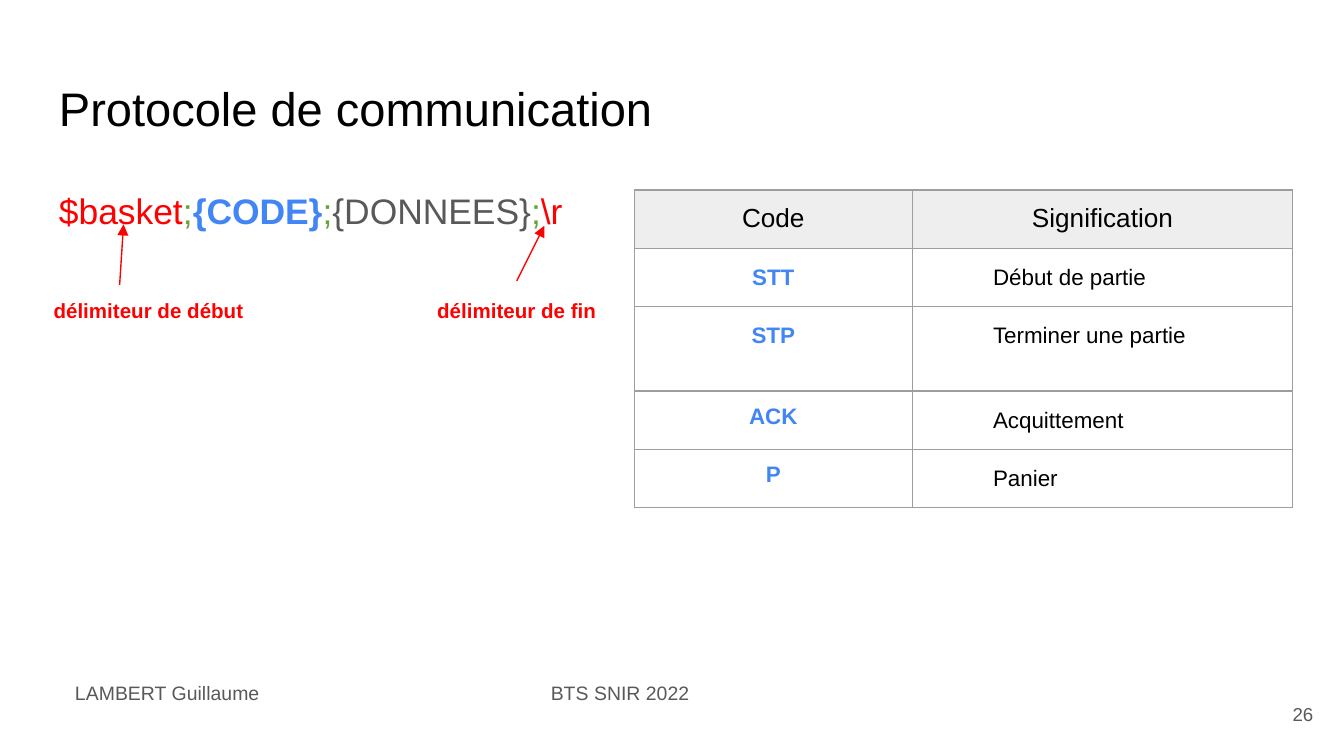
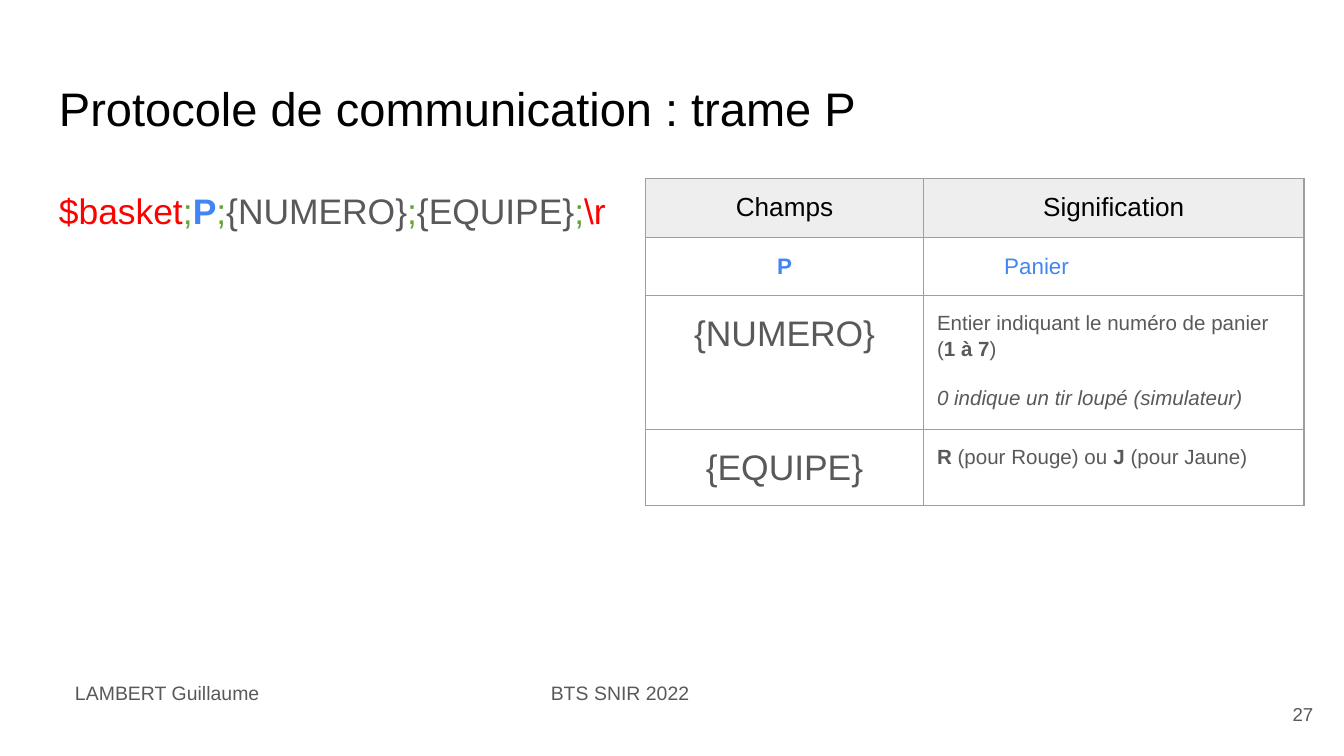
from dataclasses import dataclass

from lxml.etree import SubElement
from pptx import Presentation
from pptx.dml.color import RGBColor
from pptx.enum.shapes import MSO_CONNECTOR as Connector
from pptx.enum.text import MSO_ANCHOR as Anchor, PP_ALIGN as Align
from pptx.oxml.ns import qn
from pptx.util import Pt


@dataclass(frozen=True)
class Theme:
    font: str = "Arial"
    black: str = "000000"
    grey: str = "595959"
    red: str = "FF0000"
    green: str = "66A334"
    blue: str = "4285F4"
    border: str = "9E9E9E"
    header: str = "EEEEEE"
    title: float = 25.2
    frame: float = 19
    heading: float = 14
    cell: float = 12
    small: float = 11
    footer: float = 10.4
    number: float = 10
    inset: float = 7.2
    rule: float = 0.75


THEME = Theme()

STYLES = {
    "title": (THEME.title, THEME.black, ""),
    "footer": (THEME.footer, THEME.grey, ""),
    "number": (THEME.number, THEME.grey, ""),
    "delimiter": (THEME.frame, THEME.red, ""),
    "separator": (THEME.frame, THEME.green, ""),
    "code": (THEME.frame, THEME.blue, "b"),
    "data": (THEME.frame, THEME.grey, ""),
    "label": (THEME.small, THEME.red, "b"),
    "heading": (THEME.heading, THEME.black, ""),
    "key": (THEME.cell, THEME.blue, "b"),
    "meaning": (THEME.cell, THEME.black, ""),
    "blue meaning": (THEME.cell, THEME.blue, ""),
    "detail": (THEME.small, THEME.grey, ""),
    "strong": (THEME.small, THEME.grey, "b"),
    "note": (THEME.small, THEME.grey, "i"),
}

PLAIN = {}
CENTERED = {"align": Align.CENTER}
RIGHT = {"align": Align.RIGHT}
LOOSE = {"line": 1.15}
LOOSE_CENTERED = {**LOOSE, **CENTERED}
FIELD = {**LOOSE_CENTERED, "after": 12}
INDENTED = {**LOOSE, "indent": 36}
NOTE = {**LOOSE, "before": 12, "after": 12}
FOOTER = {"line": 0.8, "after": 12}


def line(text, style, layout=PLAIN):
    return [([(text, style)], layout)]


def heading(text):
    return line(text, "heading", CENTERED)


def meaning(text, style="meaning"):
    return line(text, style, INDENTED)


SEPARATOR = (";", "separator")
START = ("$basket", "delimiter")
END = ("\\r", "delimiter")

SLIDES = [
    {
        "title": "Protocole de communication",
        "number": "26",
        "frame": [START, ("{CODE}", "code"), ("{DONNEES}", "data"), END],
        "frame_height": 111.6,
        "labels": [
            ("délimiteur de début", (21.6, 150.5, 149.8, 28), LOOSE, (64.1, 152.6), (66.2, 120.2)),
            ("délimiteur de fin", (216, 150.5, 121.7, 28), LOOSE_CENTERED, None, (291.6, 121)),
        ],
        "table_at": (339.8, 101.8),
        "row_heights": [31.1, 31.1, 45.4, 31.1, 31.1],
        "rows": [
            (heading("Code"), heading("Signification")),
            (line("STT", "key", LOOSE_CENTERED), meaning("Début de partie")),
            (line("STP", "key", LOOSE_CENTERED), meaning("Terminer une partie")),
            (line("ACK", "key", CENTERED), meaning("Acquittement")),
            (line("P", "key", CENTERED), meaning("Panier")),
        ],
    },
    {
        "title": "Protocole de communication : trame P",
        "number": "27",
        "frame": [START, ("P", "code"), ("{NUMERO}", "data"), ("{EQUIPE}", "data"), END],
        "frame_height": 269.3,
        "labels": [],
        "table_at": (345.8, 95.8),
        "row_heights": [31.1, 31.1, 45.4, 31.1],
        "rows": [
            (heading("Champs"), heading("Signification")),
            (line("P", "key", LOOSE_CENTERED), meaning("Panier", "blue meaning")),
            (
                line("{NUMERO}", "data", FIELD),
                [
                    (
                        [
                            ("Entier indiquant le numéro de panier (", "detail"),
                            ("1 à 7", "strong"),
                            (")", "detail"),
                        ],
                        LOOSE,
                    ),
                    ([("0 indique un tir loupé (simulateur)", "note")], NOTE),
                ],
            ),
            (
                line("{EQUIPE}", "data", FIELD),
                [
                    (
                        [
                            ("R", "strong"),
                            (" (pour Rouge) ou ", "detail"),
                            ("J", "strong"),
                            (" (pour Jaune)", "detail"),
                        ],
                        LOOSE,
                    )
                ],
            ),
        ],
    },
]

FOOTERS = [("LAMBERT Guillaume", 33.1), ("BTS SNIR 2022", 288)]
COLUMNS = [149, 203.8]


def rgb(value):
    return RGBColor.from_string(value)


def write(text_frame, paragraphs):
    for index, (runs, layout) in enumerate(paragraphs):
        para = text_frame.paragraphs[0] if index == 0 else text_frame.add_paragraph()
        para.alignment = layout.get("align", Align.LEFT)
        para.line_spacing = layout.get("line", 1.0)
        para.space_before = Pt(layout.get("before", 0))
        para.space_after = Pt(layout.get("after", 0))
        if "indent" in layout:
            para._p.get_or_add_pPr().set("marL", str(Pt(layout["indent"])))
        for text, style in runs:
            size, color, marks = STYLES[style]
            span = para.add_run()
            span.text = text
            span.font.name = THEME.font
            span.font.size = Pt(size)
            span.font.color.rgb = rgb(color)
            span.font.bold = "b" in marks
            span.font.italic = "i" in marks


def set_insets(target):
    target.margin_left = target.margin_right = Pt(THEME.inset)
    target.margin_top = target.margin_bottom = Pt(THEME.inset)


def add_text(page, place, paragraphs, anchor=Anchor.TOP):
    box = page.shapes.add_textbox(*map(Pt, place))
    box.text_frame.word_wrap = True
    box.text_frame.vertical_anchor = anchor
    set_insets(box.text_frame)
    write(box.text_frame, paragraphs)
    return box


def set_borders(cell):
    properties = cell._tc.get_or_add_tcPr()
    for position, side in enumerate(("lnL", "lnR", "lnT", "lnB")):
        edge = properties.makeelement(qn(f"a:{side}"), {"w": str(Pt(THEME.rule))})
        fill = SubElement(edge, qn("a:solidFill"))
        SubElement(fill, qn("a:srgbClr"), val=THEME.border)
        properties.insert(position, edge)


def add_grid(page, place, heights, rows):
    frame = page.shapes.add_table(
        len(rows), len(COLUMNS), *map(Pt, place), Pt(sum(COLUMNS)), Pt(sum(heights))
    )
    table = frame.table
    table.first_row = table.horz_banding = False
    for column, width in zip(table.columns, COLUMNS):
        column.width = Pt(width)
    for row_index, (height, contents) in enumerate(zip(heights, rows)):
        table.rows[row_index].height = Pt(height)
        for column_index, paragraphs in enumerate(contents):
            cell = table.cell(row_index, column_index)
            set_insets(cell)
            if row_index == 0:
                cell.fill.solid()
                cell.fill.fore_color.rgb = rgb(THEME.header)
            else:
                cell.fill.background()
            set_borders(cell)
            write(cell.text_frame, paragraphs)


def add_pointer(page, label, start, end):
    origin = start or (0, 0)
    pointer = page.shapes.add_connector(Connector.STRAIGHT, *map(Pt, origin + end))
    if start is None:
        pointer.begin_connect(label, 0)
    pointer.line.color.rgb = rgb(THEME.red)
    pointer.line.width = Pt(THEME.rule)
    SubElement(pointer.line._get_or_add_ln(), qn("a:tailEnd"), type="triangle")
    SubElement(pointer._element.spPr, qn("a:effectLst"))


def separated(parts):
    runs = [parts[0]]
    for part in parts[1:]:
        runs += [SEPARATOR, part]
    return runs


def add_page(deck, content):
    page = deck.slides.add_slide(deck.slide_layouts[6])
    add_text(page, (24.5, 35.3, 671, 45.4), line(content["title"], "title"))
    add_text(page, (667.4, 367.2, 43.2, 31), line(content["number"], "number", RIGHT), Anchor.MIDDLE)
    for text, left in FOOTERS:
        add_text(page, (left, 362.2, 144, 31), line(text, "footer", FOOTER))
    add_grid(page, content["table_at"], content["row_heights"], content["rows"])
    frame_place = (24.5, 90.7, 318.2, content["frame_height"])
    add_text(page, frame_place, [(separated(content["frame"]), LOOSE)])
    for text, place, layout, start, end in content["labels"]:
        label = add_text(page, place, line(text, "label", layout))
        add_pointer(page, label, start, end)


def main():
    deck = Presentation()
    deck.slide_width, deck.slide_height = Pt(720), Pt(405)
    for content in SLIDES:
        add_page(deck, content)
    deck.save("out.pptx")


if __name__ == "__main__":
    main()
